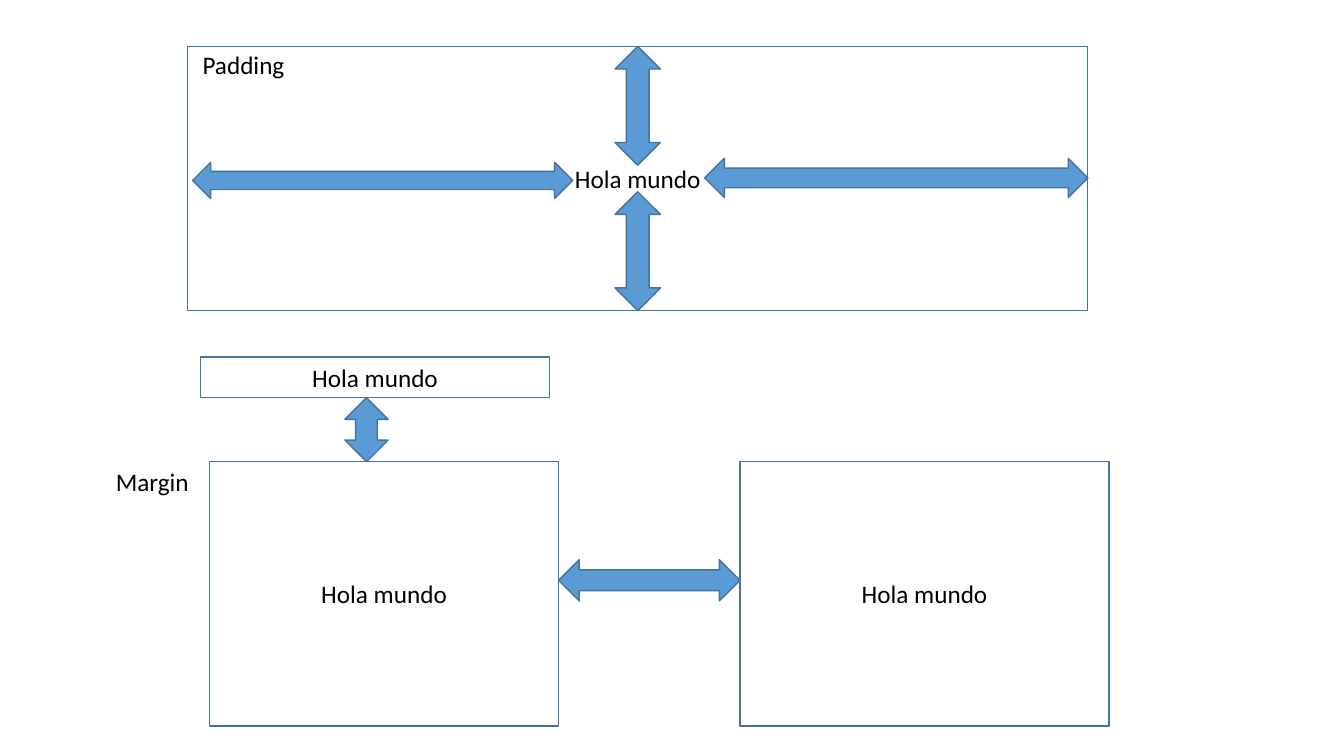
from pptx import Presentation
from pptx.dml.color import RGBColor
from pptx.enum.shapes import MSO_SHAPE as Kind
from pptx.enum.text import MSO_ANCHOR as Anchor, MSO_AUTO_SIZE as Fit, PP_ALIGN as Align
from pptx.util import Inches, Pt

BLUE = RGBColor(0x5B, 0x9B, 0xD5)
EDGE = RGBColor(0x43, 0x73, 0x9E)
BLACK = RGBColor(0, 0, 0)

# Grid of 64 columns by 36 rows of square cells
WIDE, HIGH = Inches(13.33), Inches(7.5)
CELL = HIGH / 36
HELLO = "Hola mundo"
CARD = 12.58  # rows in a large box


def cells(*sizes):
    return [round(size * CELL) for size in sizes]


def write(shape, text, align):
    frame = shape.text_frame
    frame.word_wrap = True
    frame.text = text
    para = frame.paragraphs[0]
    para.alignment = align
    font = para.runs[0].font
    font.name, font.size = "Calibri", Pt(18)
    font.color.rgb = BLACK


def draw(slide, kind, x, y, w, h):
    shape = slide.shapes.add_shape(kind, *cells(x, y, w, h))
    shape.shadow.inherit = False
    shape.line.color.rgb = EDGE
    shape.line.width = Pt(1)
    return shape


def frame(slide, x, y, w, h):
    shape = draw(slide, Kind.RECTANGLE, x, y, w, h)
    shape.fill.background()
    shape.text_frame.vertical_anchor = Anchor.MIDDLE
    write(shape, HELLO, Align.CENTER)


def arrow(slide, kind, x, y, w, h):
    shape = draw(slide, kind, x, y, w, h)
    shape.fill.solid()
    shape.fill.fore_color.rgb = BLUE


def label(slide, text, x, y):
    box = slide.shapes.add_textbox(*cells(x, y, 11.42, 1.94))
    write(box, text, Align.LEFT)
    box.text_frame.auto_size = Fit.SHAPE_TO_FIT_TEXT


def padding(slide, x, y, w, h):
    frame(slide, x, y, w, h)
    # Arrows above and below the words
    thick, tall = 2.16, 5.66
    for top in (y, y + h - tall):
        arrow(slide, Kind.UP_DOWN_ARROW, x + (w - thick) / 2, top, thick, tall)
    # Arrows left and right of the words
    arrow(slide, Kind.LEFT_RIGHT_ARROW, x + 0.24, y + 5.52, 18.1, 1.73)
    arrow(slide, Kind.LEFT_RIGHT_ARROW, x + w - 18.24, y + 5.33, 18.24, 1.87)
    label(slide, "Padding", x + 0.24, y - 0.1)


def margin(slide, x, y, w, h):
    bar, first, last = 1.94, 16.61, 17.57
    top = y + h - CARD
    left, right = x + 4.94, x + w - last
    # Bar and the two cards
    frame(slide, x + 4.51, y, first, bar)
    frame(slide, left, top, first, CARD)
    frame(slide, right, top, last, CARD)
    label(slide, "Margin", x, top)
    # Arrows that span the gaps
    arrow(slide, Kind.UP_DOWN_ARROW, x + 11.38, y + bar, 2.06, top - y - bar)
    edge = left + first
    arrow(slide, Kind.LEFT_RIGHT_ARROW, edge, top + 4.66, right - edge, 1.97)


def main():
    deck = Presentation()
    deck.slide_width, deck.slide_height = WIDE, HIGH
    slide = deck.slides.add_slide(deck.slide_layouts[6])
    padding(slide, 8.93, 2.21, 42.86, CARD)
    margin(slide, 5.04, 17, 47.76, 17.57)
    deck.save("out.pptx")


if __name__ == "__main__":
    main()
